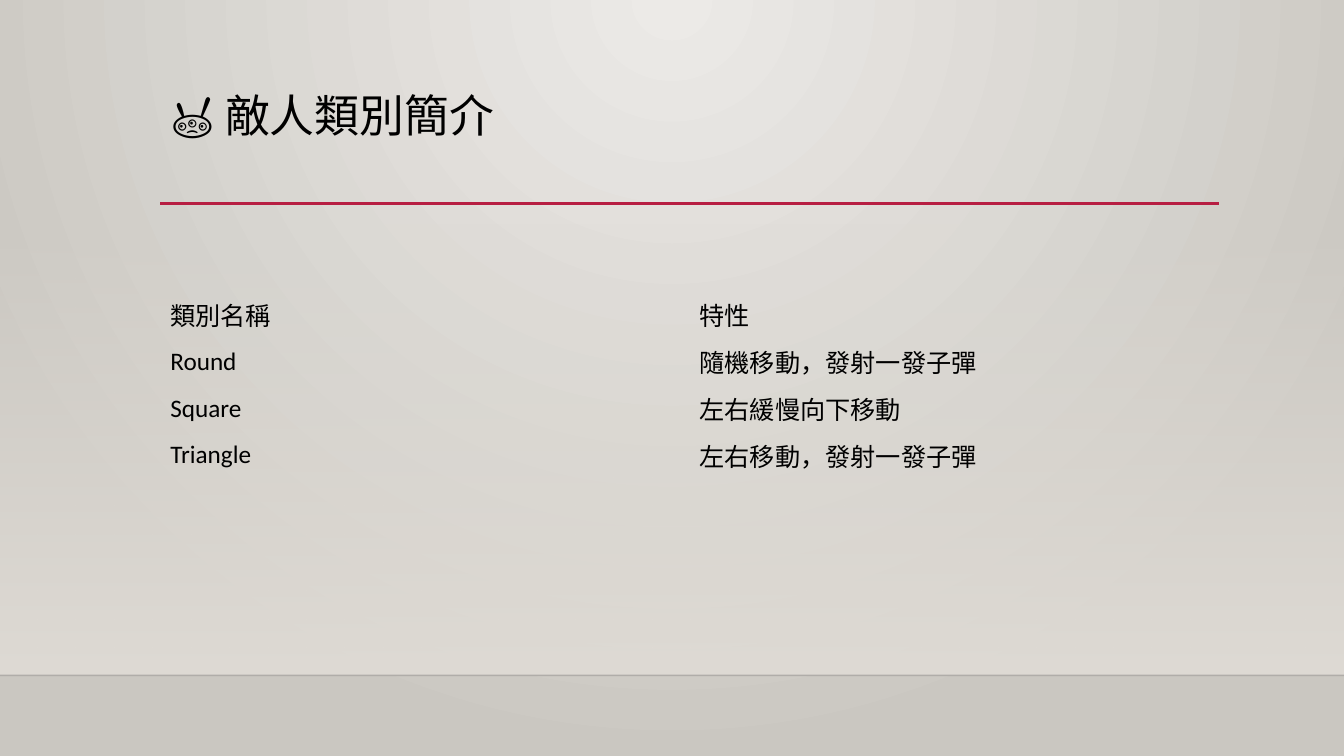
from lxml import etree
from pptx import Presentation
from pptx.dml.color import RGBColor
from pptx.enum.shapes import MSO_CONNECTOR, MSO_SHAPE
from pptx.enum.text import MSO_ANCHOR
from pptx.oxml.ns import qn
from pptx.util import Cm, Pt

STRAIGHT = MSO_CONNECTOR.STRAIGHT
RECTANGLE = MSO_SHAPE.RECTANGLE
TOP = MSO_ANCHOR.TOP
MIDDLE = MSO_ANCHOR.MIDDLE

BLACK = RGBColor(0x00, 0x00, 0x00)
CRIMSON = RGBColor(0xB7, 0x1E, 0x42)
FLOOR_LINE = RGBColor(0x00, 0x00, 0x01)
WALL = RGBColor(0xDF, 0xDB, 0xD5)
GLOW_INNER = RGBColor(0xEC, 0xEA, 0xE7)
GLOW_OUTER = RGBColor(0xCA, 0xC7, 0xC1)

FONT = "Calibri"
NO_STYLE_NO_GRID = "{2D5ABB26-0587-4C30-8999-92F81FD0307C}"

SLIDE_WIDTH, SLIDE_HEIGHT = Cm(33.87), Cm(19.05)
CONTENT_LEFT, CONTENT_WIDTH = Cm(4.04), Cm(26.67)
RULE_RIGHT, RULE_TOP = Cm(30.73), Cm(5.13)
WALL_TOP, FLOOR_TOP = Cm(5.61), Cm(17.02)
TABLE_TOP, ROW_HEIGHT = Cm(7.34), Cm(1.18)

TITLE = "👾 敵人類別簡介"
ENEMIES = [
    ("類別名稱", "特性"),
    ("Round", "隨機移動，發射一發子彈"),
    ("Square", "左右緩慢向下移動"),
    ("Triangle", "左右移動，發射一發子彈"),
]


def set_alpha(color_element, percent):
    etree.SubElement(color_element, qn("a:alpha")).set("val", str(percent * 1000))


def apply_gradient(fill, start, end):
    fill.gradient()
    for stop, color, position in zip(fill.gradient_stops, (start, end), (0, 1)):
        stop.color.rgb = color
        stop.position = position


def add_glow_background(slide):
    """Fill the background with a circular gradient centred on the top edge."""
    apply_gradient(slide.background.fill, GLOW_INNER, GLOW_OUTER)
    linear = slide.element.find(".//" + qn("a:lin"))
    circle = etree.Element(qn("a:path"))
    circle.set("path", "circle")
    focus = etree.SubElement(circle, qn("a:fillToRect"))
    for side, value in (("l", "43000"), ("r", "43000"), ("b", "100000")):
        focus.set(side, value)
    linear.getparent().replace(linear, circle)


def add_wall(slide):
    """Add the band that fades in from clear down to the floor line."""
    shape = slide.shapes.add_shape(
        RECTANGLE, 0, WALL_TOP, SLIDE_WIDTH, FLOOR_TOP - WALL_TOP
    )
    shape.shadow.inherit = False
    shape.line.fill.background()
    apply_gradient(shape.fill, WALL, WALL)
    shape.fill.gradient_angle = 270
    set_alpha(shape.element.find(".//" + qn("a:srgbClr")), 0)


def add_horizontal_line(slide, left, right, top, color, width, alpha=100):
    line = slide.shapes.add_connector(STRAIGHT, left, top, right, top)
    line.line.color.rgb = color
    line.line.width = Pt(width)
    if alpha < 100:
        set_alpha(line.element.find(".//" + qn("a:srgbClr")), alpha)
    etree.SubElement(line.element.spPr, qn("a:effectLst"))


def write_text(text_frame, text, size):
    text_frame.text = text
    for run in text_frame.paragraphs[0].runs:
        run.font.name = FONT
        run.font.size = Pt(size)
        run.font.color.rgb = BLACK


def add_title(slide):
    box = slide.shapes.add_textbox(CONTENT_LEFT, Cm(2.24), CONTENT_WIDTH, Cm(2.92))
    text_frame = box.text_frame
    text_frame.word_wrap = True
    text_frame.vertical_anchor = TOP
    write_text(text_frame, TITLE, 32)
    text_frame.paragraphs[0].line_spacing = 0.9


def add_enemy_table(slide):
    frame = slide.shapes.add_table(
        len(ENEMIES), len(ENEMIES[0]), CONTENT_LEFT, TABLE_TOP,
        CONTENT_WIDTH, ROW_HEIGHT * len(ENEMIES),
    )
    table = frame.table
    table.first_row = False
    table.horz_banding = False
    frame.element.find(".//" + qn("a:tableStyleId")).text = NO_STYLE_NO_GRID
    for row, texts in zip(table.rows, ENEMIES):
        for cell, text in zip(row.cells, texts):
            cell.fill.background()
            cell.vertical_anchor = MIDDLE
            write_text(cell.text_frame, text, 18)


def main():
    presentation = Presentation()
    presentation.slide_width = SLIDE_WIDTH
    presentation.slide_height = SLIDE_HEIGHT
    slide = presentation.slides.add_slide(presentation.slide_layouts[6])
    add_glow_background(slide)
    add_wall(slide)
    add_horizontal_line(slide, 0, SLIDE_WIDTH, FLOOR_TOP, FLOOR_LINE, 1, alpha=20)
    add_horizontal_line(slide, CONTENT_LEFT, RULE_RIGHT, RULE_TOP, CRIMSON, 2.5)
    add_title(slide)
    add_enemy_table(slide)
    presentation.save("out.pptx")


if __name__ == "__main__":
    main()
